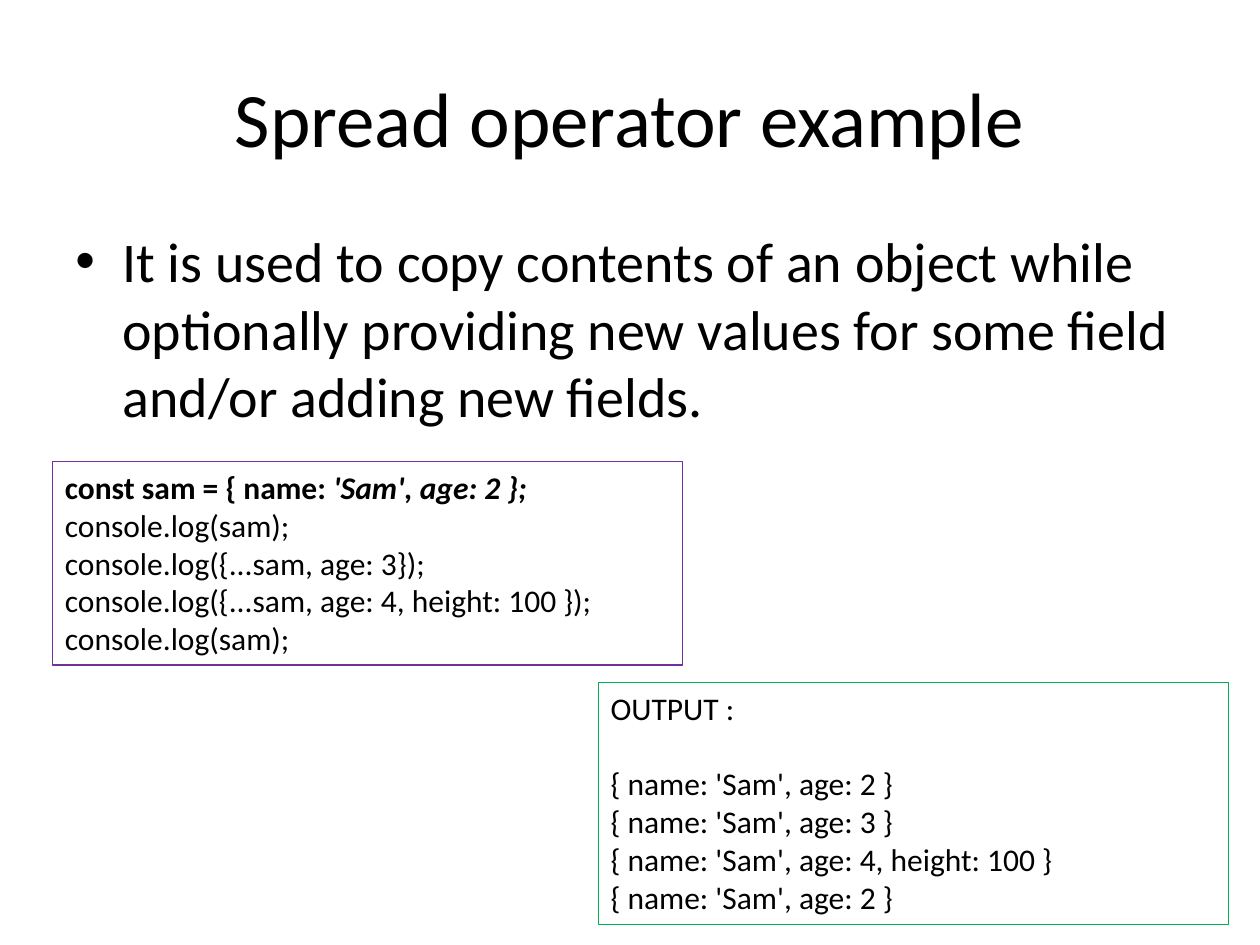
from lxml.etree import SubElement
from pptx import Presentation
from pptx.dml.color import RGBColor
from pptx.enum.shapes import MSO_SHAPE as SHAPE
from pptx.enum.text import MSO_ANCHOR as ANCHOR, PP_ALIGN as ALIGN
from pptx.oxml.ns import qn
from pptx.util import Cm, Pt

COLORS = {"text": "000000", "code": "7030A0", "output": "00B050"}
FONT = "Calibri"

CODE = [
    [("const sam = { name: ", "b"), ("'Sam', age: 2 };", "bi")],
    [("console.log(sam);", "")],
    [("console.log({...sam, age: 3});", "")],
    [("console.log({...sam, age: 4, height: 100 });", "")],
    [("console.log(sam);", "")],
]
OUTPUT = [
    [("OUTPUT :", "")],
    [("{ name: 'Sam', age: 2 }", "")],
    [("{ name: 'Sam', age: 3 }", "")],
    [("{ name: 'Sam', age: 4, height: 100 }", "")],
    [("{ name: 'Sam', age: 2 }", "")],
]


def rgb(name):
    """Return the named colour."""
    return RGBColor.from_string(COLORS[name])


def add_run(p, text, size, style=""):
    """Add a run; style may hold b for bold and i for italic."""
    r = p.add_run()
    r.text = text
    r.font.name, r.font.size = FONT, Pt(size)
    r.font.bold, r.font.italic = "b" in style, "i" in style
    r.font.color.rgb = rgb("text")


def add_text_box(s, box):
    """Add a wrapping text box and return its text frame."""
    tf = s.shapes.add_textbox(*box).text_frame
    tf.word_wrap = True
    return tf


def add_title(s, box, text):
    """Place the centred title in the box."""
    tf = add_text_box(s, box)
    tf.vertical_anchor = ANCHOR.MIDDLE
    p = tf.paragraphs[0]
    p.alignment = ALIGN.CENTER
    add_run(p, text, 44)


def add_bullet(s, box, text):
    """Place one bulleted paragraph with a hanging indent in the box."""
    p = add_text_box(s, box).paragraphs[0]
    p.space_before = Pt(6.4)
    pPr = p._p.get_or_add_pPr()
    indent = Cm(0.95)
    pPr.set("marL", str(indent))
    pPr.set("indent", str(-indent))
    SubElement(pPr, qn("a:buFont")).set("typeface", "Arial")
    SubElement(pPr, qn("a:buChar")).set("char", "•")
    add_run(p, text, 32)


def add_listing(s, box, lines, color, heading_gap=0):
    """Place an outlined listing, with a gap in points after its first line."""
    sp = s.shapes.add_shape(SHAPE.RECTANGLE, *box)
    sp.shadow.inherit = False
    sp.fill.background()
    sp.line.color.rgb = rgb(color)
    sp.line.width = Pt(0.75)
    tf = sp.text_frame
    tf.word_wrap = True
    tf.vertical_anchor = ANCHOR.TOP
    for i, line in enumerate(lines):
        p = tf.add_paragraph() if i else tf.paragraphs[0]
        p.alignment = ALIGN.LEFT
        for text, style in line:
            add_run(p, text, 18, style)
    tf.paragraphs[0].space_after = Pt(heading_gap)


def build_slide(prs):
    """Build the slide that shows the spread operator."""
    s = prs.slides.add_slide(prs.slide_layouts[6])
    left, width = Cm(1.27), Cm(22.86)
    add_title(s, (left, Cm(0.76), width, Cm(3.18)), "Spread operator example")
    add_bullet(s, (left, Cm(4.45), width, Cm(12.57)),
               "It is used to copy contents of an object while optionally "
               "providing new values for some field and/or adding new fields.")
    listing_width = Cm(12.7)
    add_listing(s, (Cm(1.06), Cm(9.31), listing_width, Cm(4.1)), CODE, "code")
    add_listing(s, (Cm(12.06), Cm(13.76), listing_width, Cm(4.88)), OUTPUT,
                "output", heading_gap=21.6)


prs = Presentation()
prs.slide_width, prs.slide_height = Cm(25.4), Cm(19.05)
build_slide(prs)
prs.save("out.pptx")
